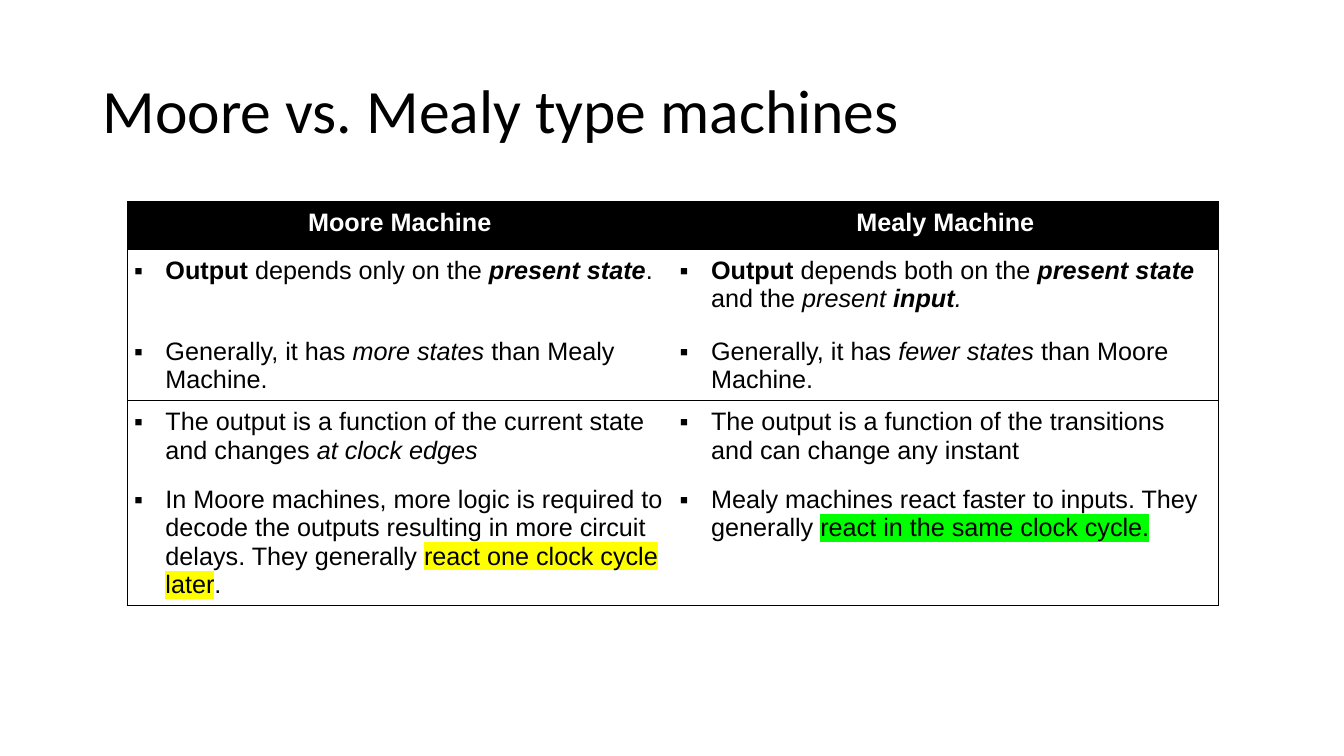
from dataclasses import dataclass
from typing import Optional

from lxml.etree import SubElement
from pptx import Presentation
from pptx.dml.color import RGBColor
from pptx.enum.text import MSO_ANCHOR, MSO_AUTO_SIZE, PP_ALIGN
from pptx.oxml.ns import qn
from pptx.util import Cm, Pt

BLACK = RGBColor(0x00, 0x00, 0x00)
WHITE = RGBColor(0xFF, 0xFF, 0xFF)
YELLOW = RGBColor(0xFF, 0xFF, 0x00)
GREEN = RGBColor(0x00, 0xFF, 0x00)

ROW_HEIGHTS = (1.21, 2.03, 1.22, 1.96, 2.87)
COL_WIDTH = 13.75
INSET = Cm(0.18)
INDENT = Cm(0.79)
RULED_ROWS = (0, 2, 4)


@dataclass(frozen=True)
class Span:
    """A stretch of text with its emphasis."""
    text: str
    bold: bool = False
    italic: bool = False
    highlight: Optional[RGBColor] = None


HEADINGS = ("Moore Machine", "Mealy Machine")
COMPARISON = (
    (
        (Span("Output ", bold=True), Span("depends only on the "),
         Span("present state", bold=True, italic=True), Span(".")),
        (Span("Output", bold=True), Span(" depends both on the "),
         Span("present state ", bold=True, italic=True), Span("and the "),
         Span("present ", italic=True), Span("input", bold=True, italic=True),
         Span(".", italic=True)),
    ),
    (
        (Span("Generally, it has "), Span("more states", italic=True),
         Span(" than Mealy Machine.")),
        (Span("Generally, it has "), Span("fewer states", italic=True),
         Span(" than Moore Machine.")),
    ),
    (
        (Span("The output is a function of the current state and changes "),
         Span("at clock edges", italic=True)),
        (Span("The output is a function of the transitions and can change any instant"),),
    ),
    (
        (Span("In Moore machines, more logic is required to decode the outputs "
              "resulting in more circuit delays. They generally "),
         Span("react one clock cycle later", highlight=YELLOW), Span(".")),
        (Span("Mealy machines react faster to inputs. They generally "),
         Span("react in the same clock cycle.", highlight=GREEN)),
    ),
)


def add_text(p, text: str, *, size: float = 18, font: str = "Arial",
             color: RGBColor = BLACK, bold: bool = False, italic: bool = False,
             highlight: Optional[RGBColor] = None) -> None:
    """Append a formatted run to a paragraph."""
    r = p.add_run()
    r.text = text
    r.font.size = Pt(size)
    r.font.bold = bold
    r.font.italic = italic
    r.font.color.rgb = color
    if highlight is not None:
        mark = SubElement(r.font._element, qn("a:highlight"))
        SubElement(mark, qn("a:srgbClr"), val=str(highlight))
    r.font.name = font


def add_bullet(p) -> None:
    """Give a paragraph a hanging square bullet."""
    pPr = p._p.get_or_add_pPr()
    pPr.set("marL", str(INDENT))
    pPr.set("indent", str(-INDENT))
    color = SubElement(pPr, qn("a:buClr"))
    SubElement(color, qn("a:srgbClr"), val=str(BLACK))
    SubElement(pPr, qn("a:buFont"), typeface="Arial")
    SubElement(pPr, qn("a:buChar"), char="▪")


def set_borders(cell, sides: str) -> None:
    """Rule the named sides of a cell and clear the others."""
    tcPr = cell._tc.get_or_add_tcPr()
    for side in "LRTB":
        ln = SubElement(tcPr, qn(f"a:ln{side}"), w=str(Pt(0.75)))
        if side in sides:
            fill = SubElement(ln, qn("a:solidFill"))
            SubElement(fill, qn("a:srgbClr"), val=str(BLACK))
        else:
            SubElement(ln, qn("a:noFill"))


def format_cell(cell, row: int, col: int) -> None:
    """Set the margins, borders and fill of a cell by its place."""
    cell.margin_left = cell.margin_right = INSET
    cell.margin_top = cell.margin_bottom = INSET
    sides = "LR"[col]
    if row == 0 or row - 1 in RULED_ROWS:
        sides += "T"
    if row in RULED_ROWS:
        sides += "B"
    set_borders(cell, sides)
    if row == 0:
        cell.fill.solid()
        cell.fill.fore_color.rgb = BLACK
    else:
        cell.fill.background()


def add_title(s, text: str) -> None:
    """Place and fill the title placeholder."""
    sp = s.shapes.title
    sp.left, sp.top, sp.width, sp.height = Cm(2.33), Cm(1.01), Cm(29.21), Cm(3.68)
    tf = sp.text_frame
    tf.auto_size = MSO_AUTO_SIZE.NONE
    tf.vertical_anchor = MSO_ANCHOR.MIDDLE
    p = tf.paragraphs[0]
    p.alignment = PP_ALIGN.LEFT
    p.line_spacing = 0.9
    add_text(p, text, size=44, font="Calibri")


def add_comparison(s) -> None:
    """Draw the comparison table."""
    table = s.shapes.add_table(len(ROW_HEIGHTS), len(HEADINGS), Cm(3.2), Cm(5.08),
                               Cm(COL_WIDTH * 2), Cm(sum(ROW_HEIGHTS))).table
    table.first_row = table.horz_banding = False
    for row, height in zip(table.rows, ROW_HEIGHTS):
        row.height = Cm(height)
    for col, heading in enumerate(HEADINGS):
        table.columns[col].width = Cm(COL_WIDTH)
        cell = table.cell(0, col)
        format_cell(cell, 0, col)
        p = cell.text_frame.paragraphs[0]
        p.alignment = PP_ALIGN.CENTER
        add_text(p, heading, color=WHITE, bold=True)
    for row, points in enumerate(COMPARISON, start=1):
        for col, spans in enumerate(points):
            cell = table.cell(row, col)
            format_cell(cell, row, col)
            p = cell.text_frame.paragraphs[0]
            add_bullet(p)
            for span in spans:
                add_text(p, span.text, bold=span.bold, italic=span.italic,
                         highlight=span.highlight)


def main() -> None:
    """Build and save the slide."""
    prs = Presentation()
    prs.slide_width, prs.slide_height = Cm(33.87), Cm(19.05)
    s = prs.slides.add_slide(prs.slide_layouts[5])
    add_title(s, "Moore vs. Mealy type machines")
    add_comparison(s)
    prs.save("out.pptx")


if __name__ == "__main__":
    main()
